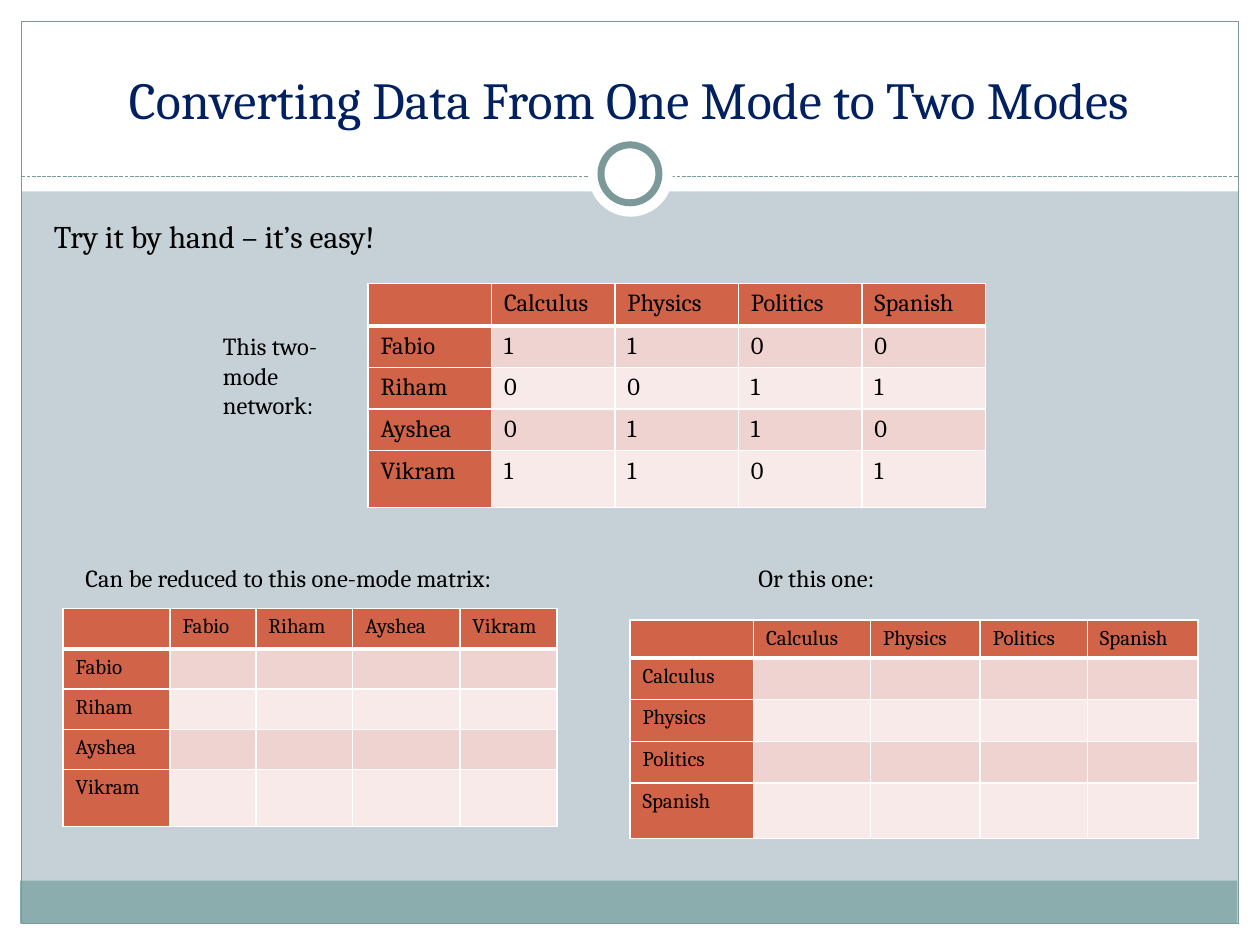
"""Build the slide on reducing a two-mode network to one-mode matrices."""
from typing import NamedTuple, Optional

from lxml.etree import SubElement
from pptx import Presentation
from pptx.dml.color import RGBColor
from pptx.enum.dml import MSO_LINE
from pptx.enum.shapes import MSO_CONNECTOR, MSO_SHAPE
from pptx.enum.text import MSO_ANCHOR, PP_ALIGN
from pptx.oxml.ns import qn
from pptx.util import Inches, Pt

WHITE = RGBColor(0xFF, 0xFF, 0xFF)
BLACK = RGBColor(0x00, 0x00, 0x00)
NAVY = RGBColor(0x00, 0x20, 0x60)
BACKGROUND = RGBColor(0xC5, 0xD1, 0xD7)
TEAL = RGBColor(0x8C, 0xAD, 0xAE)
FRAME = RGBColor(0x7C, 0x99, 0x9A)
HEADER = RGBColor(0xD1, 0x63, 0x49)
BANDS = (RGBColor(0xEE, 0xD3, 0xD0), RGBColor(0xF7, 0xEA, 0xE9))
FONT = "Cambria"


class Panel(NamedTuple):
    box: tuple
    fill: Optional[RGBColor] = WHITE
    line: float = 0
    kind: MSO_SHAPE = MSO_SHAPE.RECTANGLE


class Label(NamedTuple):
    box: tuple
    lines: tuple
    size: float = 14
    color: RGBColor = BLACK
    align: PP_ALIGN = PP_ALIGN.LEFT
    anchor: MSO_ANCHOR = MSO_ANCHOR.TOP


class Matrix(NamedTuple):
    left: float
    top: float
    cols: tuple
    rows: tuple
    heads: tuple
    names: tuple
    size: float
    values: tuple = ()


PEOPLE = ("Fabio", "Riham", "Ayshea", "Vikram")
COURSES = ("Calculus", "Physics", "Politics", "Spanish")

PANELS = (
    Panel((0, 7.33, 10, 0.17)),
    Panel((0, 0, 10, 1.52)),
    Panel((0, 0, 0.17, 7.5)),
    Panel((9.83, 0, 0.17, 7.5)),
    Panel((0.16, 6.99, 9.66, 0.34), TEAL),
    Panel((0.17, 0.17, 9.66, 7.16), None, 0.75),
)
RINGS = (
    Panel((4.67, 1.05, 0.67, 0.67), kind=MSO_SHAPE.OVAL),
    Panel((4.77, 1.15, 0.46, 0.46), line=4, kind=MSO_SHAPE.OVAL),
)
LABELS = (
    Label((0.33, 0.25, 9.33, 0.83), ("Converting Data From One Mode to Two Modes",),
          29.7, NAVY, PP_ALIGN.CENTER, MSO_ANCHOR.BOTTOM),
    Label((1.67, 2.58, 1.08, 0.81), ("This two-mode", "network:")),
    Label((0.58, 4.42, 4.33, 0.34), ("Can be reduced to this one-mode matrix:",)),
    Label((5.92, 4.42, 3.58, 0.34), ("Or this one:",)),
    Label((0.33, 1.67, 4.33, 0.4), ("Try it by hand – it’s easy!",), 18),
)
MATRICES = (
    Matrix(2.92, 2.25, (0.98,) * 5, (0.33,) * 4 + (0.45,), COURSES, PEOPLE, 14,
           ("1100", "0011", "0110", "1101")),
    Matrix(0.5, 4.83, (0.85, 0.68, 0.77, 0.85, 0.77), (0.32,) * 4 + (0.45,),
           PEOPLE, PEOPLE, 12),
    Matrix(5, 4.92, (0.98, 0.93, 0.87, 0.85, 0.88), (0.3,) + (0.33,) * 3 + (0.44,),
           COURSES, COURSES, 12),
)


def add_run(p, text: str, size: float, color: RGBColor) -> None:
    """Add one formatted run to a paragraph."""
    r = p.add_run()
    r.text = text
    r.font.color.rgb = color
    for name, value in {"size": Pt(size), "name": FONT}.items():
        setattr(r.font, name, value)


def add_panel(s, panel: Panel) -> None:
    """Draw a preset shape with an optional fill and outline."""
    sp = s.shapes.add_shape(panel.kind, *map(Inches, panel.box))
    sp.shadow.inherit = False
    if panel.fill is None:
        sp.fill.background()
    else:
        sp.fill.solid()
        sp.fill.fore_color.rgb = panel.fill
    if panel.line:
        sp.line.color.rgb = FRAME
        sp.line.width = Pt(panel.line)
    else:
        sp.line.fill.background()


def add_divider(s) -> None:
    """Draw the dashed line under the title."""
    sp = s.shapes.add_connector(MSO_CONNECTOR.STRAIGHT, *map(Inches, (0.17, 1.4, 9.83, 1.4)))
    sp.line.color.rgb = FRAME
    for name, value in {"width": Pt(0.75), "dash_style": MSO_LINE.SQUARE_DOT}.items():
        setattr(sp.line, name, value)
    SubElement(sp.element.spPr, qn("a:effectLst"))


def add_label(s, label: Label) -> None:
    """Draw a text box with one paragraph per line."""
    tf = s.shapes.add_textbox(*map(Inches, label.box)).text_frame
    for name, value in {"word_wrap": True, "vertical_anchor": label.anchor}.items():
        setattr(tf, name, value)
    for i, line in enumerate(label.lines):
        p = tf.add_paragraph() if i else tf.paragraphs[0]
        p.alignment = label.align
        add_run(p, line, label.size, label.color)


def add_borders(cell, row: int, col: int) -> None:
    """Give a cell white borders, thick below the header row."""
    widths = {"a:lnL": 0 if col else 1, "a:lnR": 1, "a:lnT": 0 if row else 1,
              "a:lnB": 1 if row else 3}
    tc_pr = cell._tc.get_or_add_tcPr()
    for tag, width in widths.items():
        if width:
            ln = SubElement(tc_pr, qn(tag), w=str(Pt(width)))
            SubElement(SubElement(ln, qn("a:solidFill")), qn("a:srgbClr"), val=str(WHITE))


def add_matrix(s, matrix: Matrix) -> None:
    """Draw a labelled matrix with banded rows."""
    size = (sum(matrix.cols), sum(matrix.rows))
    table = s.shapes.add_table(len(matrix.rows), len(matrix.cols),
                               *map(Inches, (matrix.left, matrix.top, *size))).table
    table.first_col = True
    for column, width in zip(table.columns, matrix.cols):
        column.width = Inches(width)
    values = matrix.values or ((""),) * len(matrix.names)
    grid = [("", *matrix.heads)]
    grid += [(name, *(value or ("",) * len(matrix.heads)))
             for name, value in zip(matrix.names, values)]
    for i, texts in enumerate(grid):
        table.rows[i].height = Inches(matrix.rows[i])
        for j, text in enumerate(texts):
            cell = table.cell(i, j)
            add_borders(cell, i, j)
            cell.fill.solid()
            cell.fill.fore_color.rgb = BANDS[(i - 1) % 2] if i and j else HEADER
            p = cell.text_frame.paragraphs[0]
            if text:
                add_run(p, text, matrix.size, BLACK)
            else:
                SubElement(p._p, qn("a:endParaRPr"), sz=str(matrix.size * 100))


def main() -> None:
    """Build and save the slide."""
    prs = Presentation()
    prs.slide_width, prs.slide_height = Inches(10), Inches(7.5)
    s = prs.slides.add_slide(prs.slide_layouts[6])
    s.background.fill.solid()
    s.background.fill.fore_color.rgb = BACKGROUND
    for panel in PANELS:
        add_panel(s, panel)
    add_divider(s)
    for ring in RINGS:
        add_panel(s, ring)
    for matrix in MATRICES:
        add_matrix(s, matrix)
    for label in LABELS:
        add_label(s, label)
    prs.save("out.pptx")


if __name__ == "__main__":
    main()
